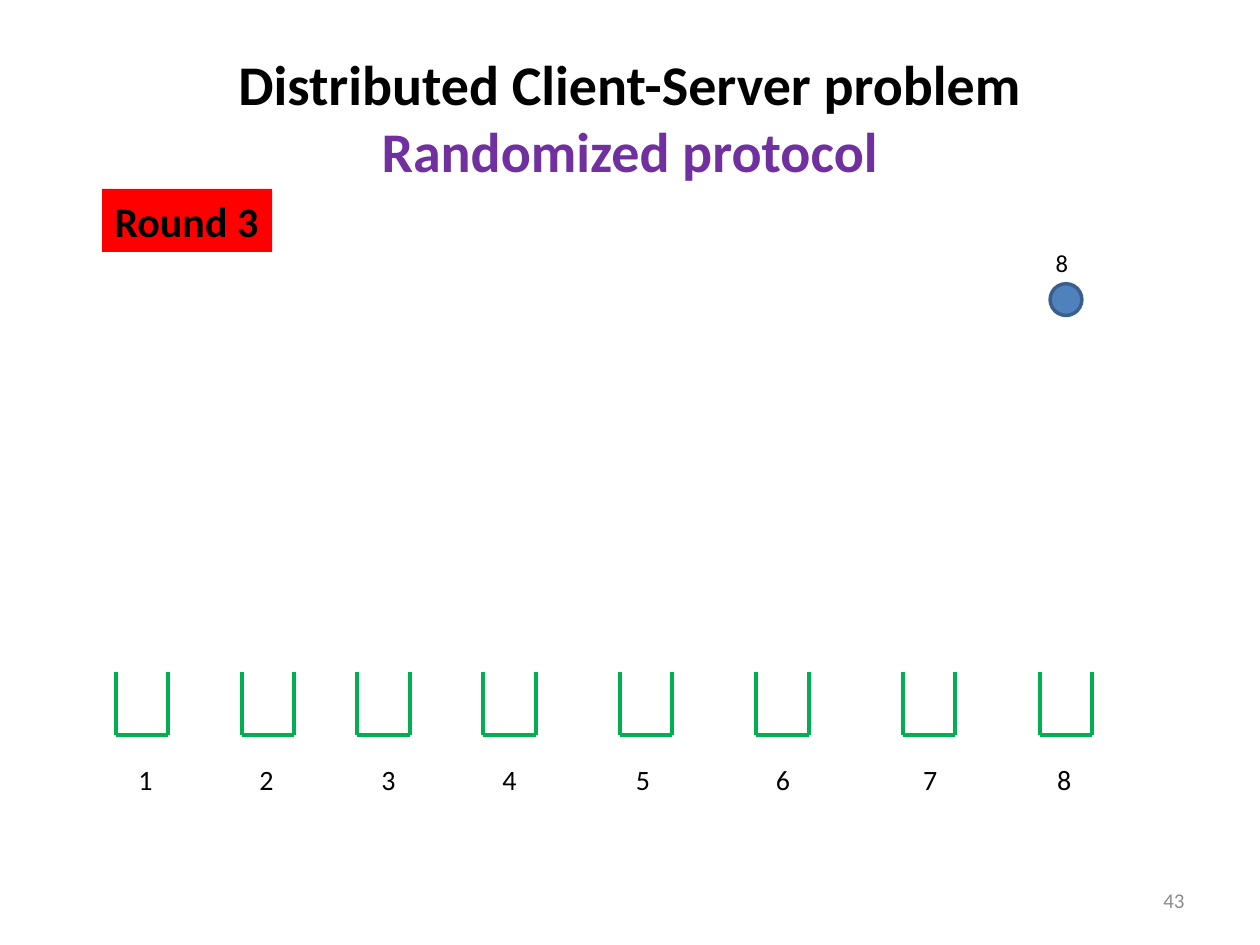
from pptx import Presentation
from pptx.dml.color import RGBColor
from pptx.enum.shapes import MSO_CONNECTOR, MSO_SHAPE
from pptx.enum.text import MSO_ANCHOR, PP_ALIGN
from pptx.oxml.ns import qn
from pptx.util import Cm, Pt
from lxml.etree import SubElement


def paint(color, code):
    color.rgb = RGBColor.from_string(code)


def write(shape, parts, size, bold=False, align=PP_ALIGN.LEFT, anchor=MSO_ANCHOR.TOP, wrap=True):
    frame = shape.text_frame
    frame.word_wrap = wrap
    frame.vertical_anchor = anchor
    para = frame.paragraphs[0]
    para.alignment = align
    for i, (text, code) in enumerate(parts):
        if i:
            para.add_line_break()
        run = para.add_run()
        run.text = text
        run.font.name = "Calibri"
        run.font.size = Pt(size)
        run.font.bold = bold
        paint(run.font.color, code)
    return para


deck = Presentation()
deck.slide_width = Cm(25.4)
deck.slide_height = Cm(19.05)
slide = deck.slides.add_slide(deck.slide_layouts[6])
shapes = slide.shapes

title = shapes.add_textbox(Cm(1.27), Cm(0.76), Cm(22.86), Cm(3.18))
lines = [("Distributed Client-Server problem", "000000"), ("Randomized protocol", "7030A0")]
write(title, lines, 32, True, PP_ALIGN.CENTER, MSO_ANCHOR.MIDDLE)

number = shapes.add_textbox(Cm(18.2), Cm(17.65), Cm(5.93), Cm(1.01))
write(number, [("43", "8C8C8C")], 12, align=PP_ALIGN.RIGHT, anchor=MSO_ANCHOR.MIDDLE)

client = shapes.add_shape(MSO_SHAPE.OVAL, Cm(21.17), Cm(5.72), Cm(0.64), Cm(0.64))
client.shadow.inherit = False
client.fill.solid()
paint(client.fill.fore_color, "4F81BD")
paint(client.line.color, "3A5F8C")
client.line.width = Pt(2)
label = shapes.add_textbox(Cm(21.03), Cm(4.87), Cm(0.76), Cm(0.86))
write(label, [("8", "000000")], 14, wrap=False)

wide, top, base = 1.06, 13.55, 14.82
for left in (2.33, 4.87, 7.2, 9.74, 12.49, 15.24, 18.2, 20.96):
    right = left + wide
    for x1, y1, x2, y2 in (
        (left, top, left, base),
        (right, top, right, base),
        (left, base, right, base),
    ):
        edge = shapes.add_connector(MSO_CONNECTOR.STRAIGHT, Cm(x1), Cm(y1), Cm(x2), Cm(y2))
        paint(edge.line.color, "00B050")
        edge.line.width = Pt(2.25)
        SubElement(edge._element.spPr, qn("a:effectLst"))

names = shapes.add_textbox(Cm(2.54), Cm(15.24), Cm(19.47), Cm(0.94))
row = "\t".join(str(n) for n in range(1, 9))
para = write(names, [(row, "000000")], 16)
tabs = SubElement(para._p.get_or_add_pPr(), qn("a:tabLst"))
for stop in (2.44, 4.9, 7.34, 10.03, 12.85, 15.82, 18.52):
    SubElement(tabs, qn("a:tab"), pos=str(Cm(stop)), algn="l")

badge = shapes.add_shape(MSO_SHAPE.RECTANGLE, Cm(2.06), Cm(3.81), Cm(3.43), Cm(1.27))
badge.shadow.inherit = False
badge.fill.solid()
paint(badge.fill.fore_color, "FF0000")
badge.line.fill.background()
write(badge, [("Round 3", "000000")], 24, True, wrap=False)

deck.save("out.pptx")
